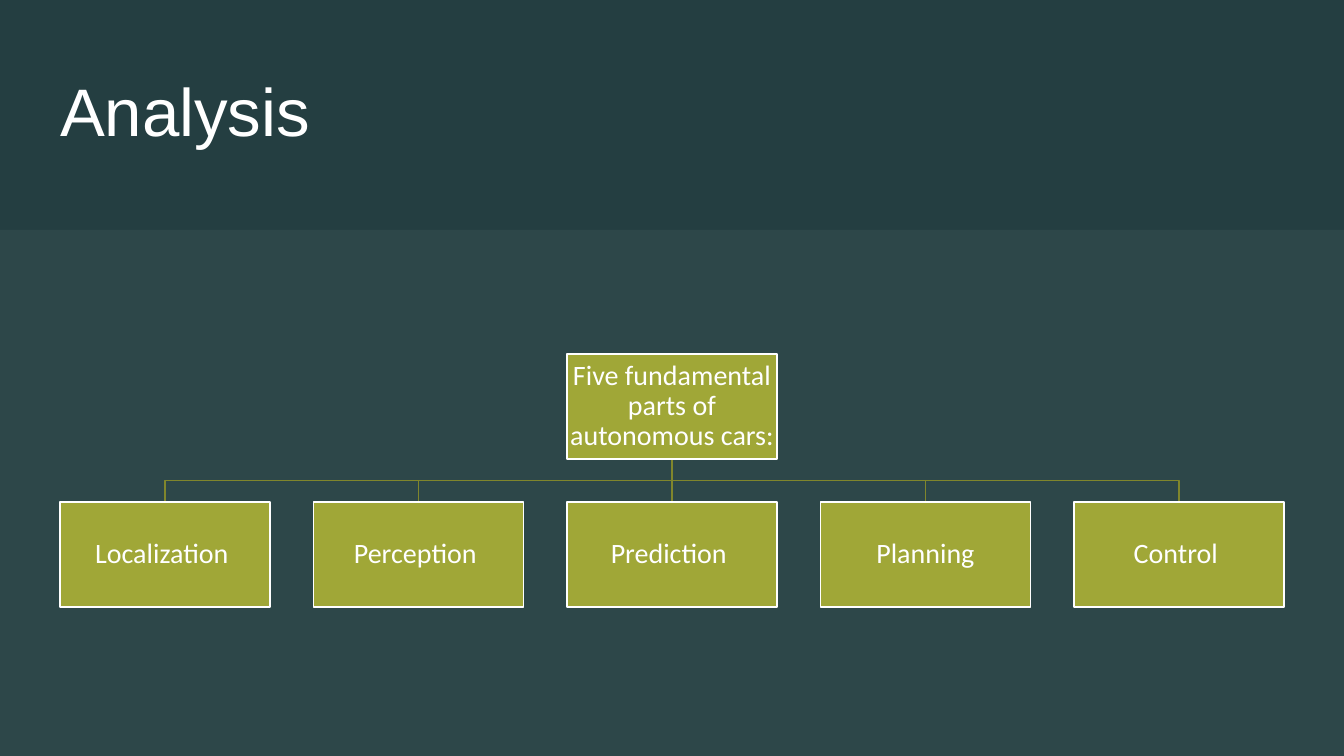
import lxml.etree
import pptx
import pptx.dml.color
import pptx.enum.shapes
import pptx.enum.text
import pptx.oxml.ns
import pptx.util

EMU_PER_PX = 914400 / 100.8
SLIDE_WIDTH, SLIDE_HEIGHT = 1344, 756
BOX_WIDTH, BOX_HEIGHT = 210, 105

COLORS = {
    "background": "243E41",
    "panel": "E5EFF0",
    "box": "A0A737",
    "branch": "80862C",
    "white": "FFFFFF",
}

ROOT = "Five fundamental parts of autonomous cars: "
PARTS = ["Localization ", "Perception ", "Prediction ", "Planning", "Control "]


def px(length):
    return pptx.util.Emu(round(length * EMU_PER_PX))


def color(name):
    return pptx.dml.color.RGBColor.from_string(COLORS[name])


def paint(fill, name):
    fill.solid()
    fill.fore_color.rgb = color(name)


def write(shape, text, font_name, size, alignment, inset):
    frame = shape.text_frame
    frame.word_wrap = True
    frame.auto_size = pptx.enum.text.MSO_AUTO_SIZE.NONE
    frame.vertical_anchor = pptx.enum.text.MSO_ANCHOR.MIDDLE
    frame.margin_left = frame.margin_right = px(inset)
    frame.margin_top = frame.margin_bottom = px(inset)
    paragraph = frame.paragraphs[0]
    paragraph.alignment = alignment
    paragraph.line_spacing = 0.9
    run = paragraph.add_run()
    run.text = text
    run.font.name = font_name
    run.font.size = pptx.util.Pt(size)
    run.font.color.rgb = color("white")


def add_rectangle(slide, left, top, width, height, fill_name):
    shape = slide.shapes.add_shape(
        pptx.enum.shapes.MSO_SHAPE.RECTANGLE, px(left), px(top), px(width), px(height))
    shape.shadow.inherit = False
    paint(shape.fill, fill_name)
    return shape


def add_title(slide, left, top, width, height):
    title = slide.shapes.title
    title.left, title.top = px(left), px(top)
    title.width, title.height = px(width), px(height)
    write(title, "Analysis", "Arial", 48, pptx.enum.text.PP_ALIGN.LEFT, 0)


def add_panel(slide, left, top, width, height):
    panel = add_rectangle(slide, left, top, width, height, "panel")
    panel.line.fill.background()
    # Let only 5 % of the panel colour through
    fill_color = panel.fill._xPr.find(".//" + pptx.oxml.ns.qn("a:srgbClr"))
    lxml.etree.SubElement(fill_color, pptx.oxml.ns.qn("a:alpha"), val="5000")


def add_box(slide, left, top, text):
    box = add_rectangle(slide, left, top, BOX_WIDTH, BOX_HEIGHT, "box")
    box.line.color.rgb = color("white")
    box.line.width = pptx.util.Pt(1)
    write(box, text, "Calibri", 20, pptx.enum.text.PP_ALIGN.CENTER, 1)


def add_branch(slide, start_x, start_y, end_x, end_y):
    if start_x == end_x:
        branch = slide.shapes.add_connector(
            pptx.enum.shapes.MSO_CONNECTOR.STRAIGHT,
            px(start_x), px(start_y), px(end_x), px(end_y))
        properties = branch._element.spPr
        lxml.etree.SubElement(properties, pptx.oxml.ns.qn("a:effectLst"))
    else:
        middle_y = (start_y + end_y) / 2
        builder = slide.shapes.build_freeform(px(start_x), px(start_y))
        builder.add_line_segments(
            [(px(start_x), px(middle_y)), (px(end_x), px(middle_y)), (px(end_x), px(end_y))],
            close=False)
        branch = builder.convert_to_shape()
        branch.shadow.inherit = False
        branch.fill.background()
    branch.line.color.rgb = color("branch")
    branch.line.width = pptx.util.Pt(1)


def add_hierarchy(slide, left, top, width, height):
    pitch = (width - BOX_WIDTH) / (len(PARTS) - 1)
    lefts = [left + index * pitch for index in range(len(PARTS))]
    center = left + width / 2
    parts_top = top + height - BOX_HEIGHT

    # Branches lie behind the boxes
    for part_left in reversed(lefts):
        add_branch(slide, center, top + BOX_HEIGHT, part_left + BOX_WIDTH / 2, parts_top)

    # Root and its parts
    add_box(slide, center - BOX_WIDTH / 2, top, ROOT)
    for part_left, text in zip(lefts, PARTS):
        add_box(slide, part_left, parts_top, text)


def build_analysis_slide(presentation):
    slide = presentation.slides.add_slide(presentation.slide_layouts[5])
    paint(slide.background.fill, "background")
    add_title(slide, 60, 60, 805, 109)
    add_panel(slide, 0, 230, SLIDE_WIDTH, SLIDE_HEIGHT - 230)
    add_hierarchy(slide, 60, 354, SLIDE_WIDTH - 2 * 60, 253)


def main():
    presentation = pptx.Presentation()
    presentation.slide_width = px(SLIDE_WIDTH)
    presentation.slide_height = px(SLIDE_HEIGHT)
    build_analysis_slide(presentation)
    presentation.save("out.pptx")


if __name__ == "__main__":
    main()
